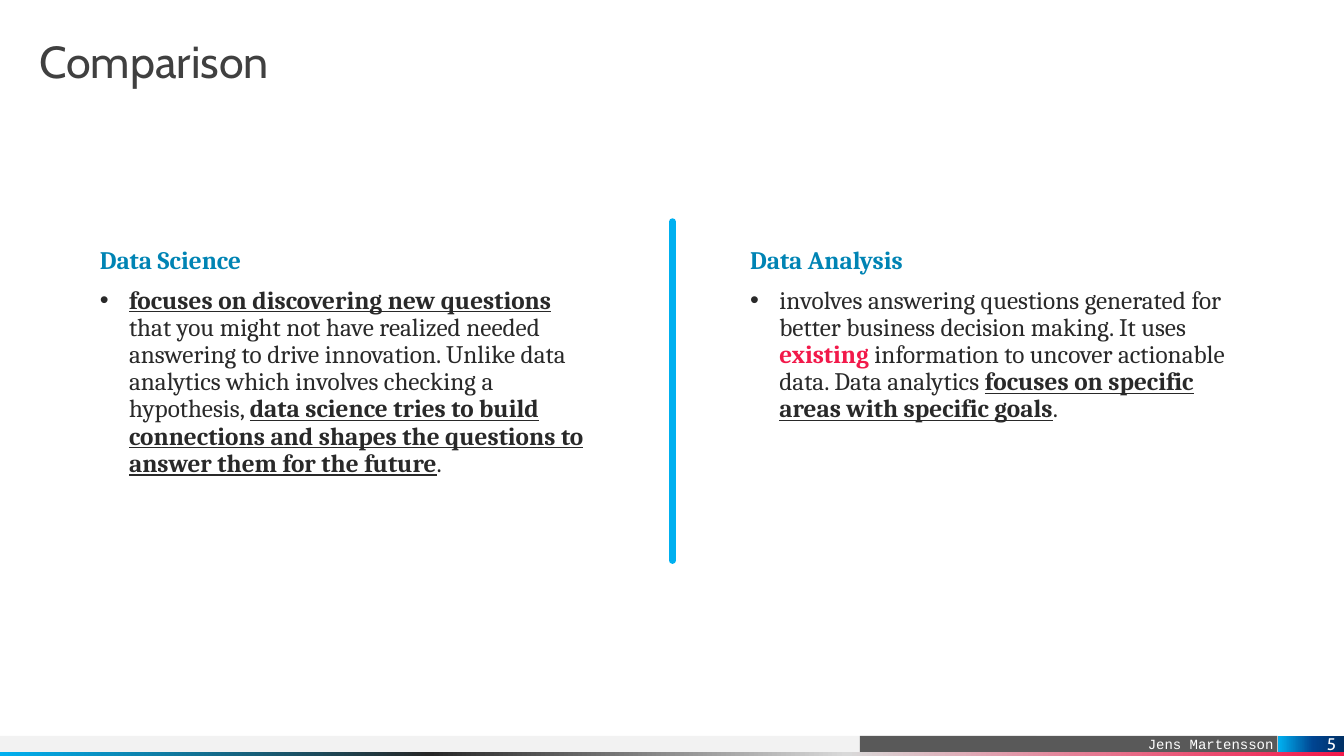
from lxml import etree
from pptx import Presentation
from pptx import util as u
from pptx.dml.color import RGBColor
from pptx.enum import shapes, text
from pptx.oxml import ns

WHITE = RGBColor(0xFF, 0xFF, 0xFF)
PALE = RGBColor(0xF2, 0xF2, 0xF2)
SILVER = RGBColor(0xD9, 0xD9, 0xD9)
GREY = RGBColor(0x59, 0x59, 0x59)
SLATE = RGBColor(0x40, 0x40, 0x40)
INK = RGBColor(0x29, 0x29, 0x29)
BLACK = RGBColor(0x26, 0x26, 0x26)
RED = RGBColor(0xF2, 0x19, 0x4A)
TEAL = RGBColor(0x00, 0x84, 0xB4)
SKY = RGBColor(0x00, 0xB0, 0xF0)
BLUE = RGBColor(0x00, 0x44, 0x90)
NAVY = RGBColor(0x00, 0x30, 0x65)

TOP, MIDDLE, BOTTOM = (text.MSO_ANCHOR.TOP, text.MSO_ANCHOR.MIDDLE,
                       text.MSO_ANCHOR.BOTTOM)
STRONG = {"bold": True, "underline": True}
ALERT = {"bold": True, "color": RED}


def add(parent, tag, **attrs):
    """Append a drawing element."""
    return etree.SubElement(parent, ns.qn(tag), attrs)


class Deck:
    styles = {
        "title": {"name": "Cabin", "size": u.Pt(32), "color": SLATE},
        "head": {"name": "Cambria", "size": u.Pt(18), "color": TEAL, "bold": True},
        "body": {"name": "Cambria", "size": u.Pt(18), "color": INK},
        "footer": {"name": "Courier New", "size": u.Pt(10), "color": WHITE},
        "number": {"name": "Cabin", "size": u.Pt(12), "color": WHITE},
    }

    def __init__(self, show):
        self.slide = show.slides.add_slide(show.slide_layouts[6])

    def words(self, shape, style, runs, anchor=TOP, right=0):
        """Fill a shape with one paragraph of (phrase, changes) runs."""
        frame = shape.text_frame
        layout = {"word_wrap": True, "vertical_anchor": anchor,
                  "margin_left": 0, "margin_top": 0, "margin_bottom": 0,
                  "margin_right": u.Inches(right)}
        for key, value in layout.items():
            setattr(frame, key, value)
        para = frame.paragraphs[0]
        for phrase, changes in runs:
            run = para.add_run()
            run.text = phrase
            for key, value in {**self.styles[style], **changes}.items():
                if key == "color":
                    run.font.color.rgb = value
                else:
                    setattr(run.font, key, value)
        return para

    def label(self, box, style, runs, bullet=False):
        shape = self.slide.shapes.add_textbox(*map(u.Inches, box))
        para = self.words(shape, style, runs)
        para.alignment = text.PP_ALIGN.LEFT
        para.line_spacing = 0.9
        if style != "title":
            para.space_before = u.Pt(10)
        if bullet:
            props = para._p.get_or_add_pPr()
            indent = u.Inches(0.29)
            props.set("marL", str(indent))
            props.set("indent", str(-indent))
            add(props, "a:buFont", typeface="Arial")
            add(props, "a:buChar", char="•")

    def bar(self, box, fill):
        """Draw a rectangle with a colour or a list of gradient stops."""
        shape = self.slide.shapes.add_shape(
            shapes.MSO_SHAPE.RECTANGLE, *map(u.Inches, box))
        shape.shadow.inherit = False
        shape.line.fill.background()
        if isinstance(fill, RGBColor):
            shape.fill.solid()
            shape.fill.fore_color.rgb = fill
            return shape
        shape.fill.gradient()
        shape.fill.gradient_angle = 180
        stops = shape._element.spPr.find(".//" + ns.qn("a:gsLst"))
        for old in list(stops):
            stops.remove(old)
        for place, color in fill:
            stop = add(stops, "a:gs", pos=str(place * 1000))
            add(stop, "a:srgbClr", val=str(color))
        return shape

    def rule(self, ends, color, width):
        line = self.slide.shapes.add_connector(
            shapes.MSO_CONNECTOR.STRAIGHT, *map(u.Inches, ends))
        line.line.color.rgb = color
        line.line.width = u.Pt(width)
        line.line._get_or_add_ln().set("cap", "rnd")
        add(line._element.spPr, "a:effectLst")


def main():
    show = Presentation()
    show.slide_width = u.Inches(13.33)
    show.slide_height = u.Inches(7.5)
    deck = Deck(show)

    # Footer bars
    deck.bar((-0.01, 7.3, 10.29, 0.16), PALE)
    footer = deck.bar((8.53, 7.3, 4.14, 0.16), GREY)
    deck.bar((-0.01, 7.46, 13.34, 0.04),
             [(0, RED), (37, SILVER), (68, BLACK), (100, SKY)])
    number = deck.bar((12.68, 7.3, 0.65, 0.16),
                      [(0, NAVY), (47, BLUE), (100, SKY)])
    for shape, style, phrase, anchor, right in (
            (footer, "footer", "Jens Martensson", BOTTOM, 0.04),
            (number, "number", "5", MIDDLE, 0.08)):
        para = deck.words(shape, style, [(phrase, {})], anchor, right)
        para.alignment = text.PP_ALIGN.RIGHT

    # Title
    deck.label((0.39, 0.39, 12.55, 0.59), "title", [("Comparison", {})])

    # Two columns and their divider
    science = [
        ("focuses on discovering new questions ", STRONG),
        ("that you might not have realized needed answering to drive "
         "innovation. Unlike data analytics which involves checking a "
         "hypothesis, ", {}),
        ("data science tries to build connections and shapes the questions "
         "to answer them for the future", STRONG),
        (".", {}),
    ]
    analysis = [
        ("involves answering questions generated for better business "
         "decision making. It uses ", {}),
        ("existing", ALERT),
        (" information to uncover actionable data. Data analytics ", {}),
        ("focuses on specific areas with specific goals", STRONG),
        (".", {}),
    ]
    for left, head, body in ((0.99, "Data Science", science),
                             (7.44, "Data Analysis", analysis)):
        deck.label((left, 2.46, 4.83, 0.39), "head", [(head, {})])
        deck.label((left, 2.85, 4.83, 2.31), "body", body, bullet=True)
    deck.rule((6.67, 2.2, 6.67, 5.56), SKY, 5)

    show.save("out.pptx")


if __name__ == "__main__":
    main()
